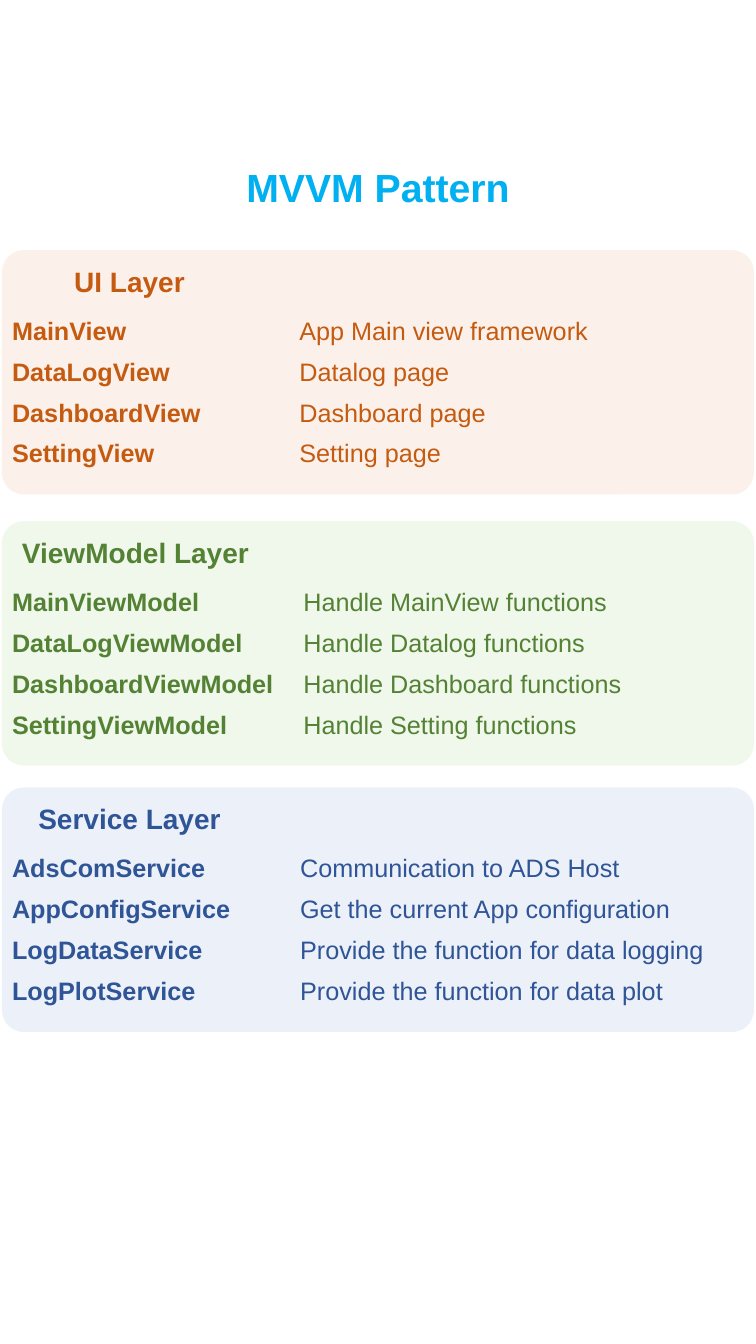
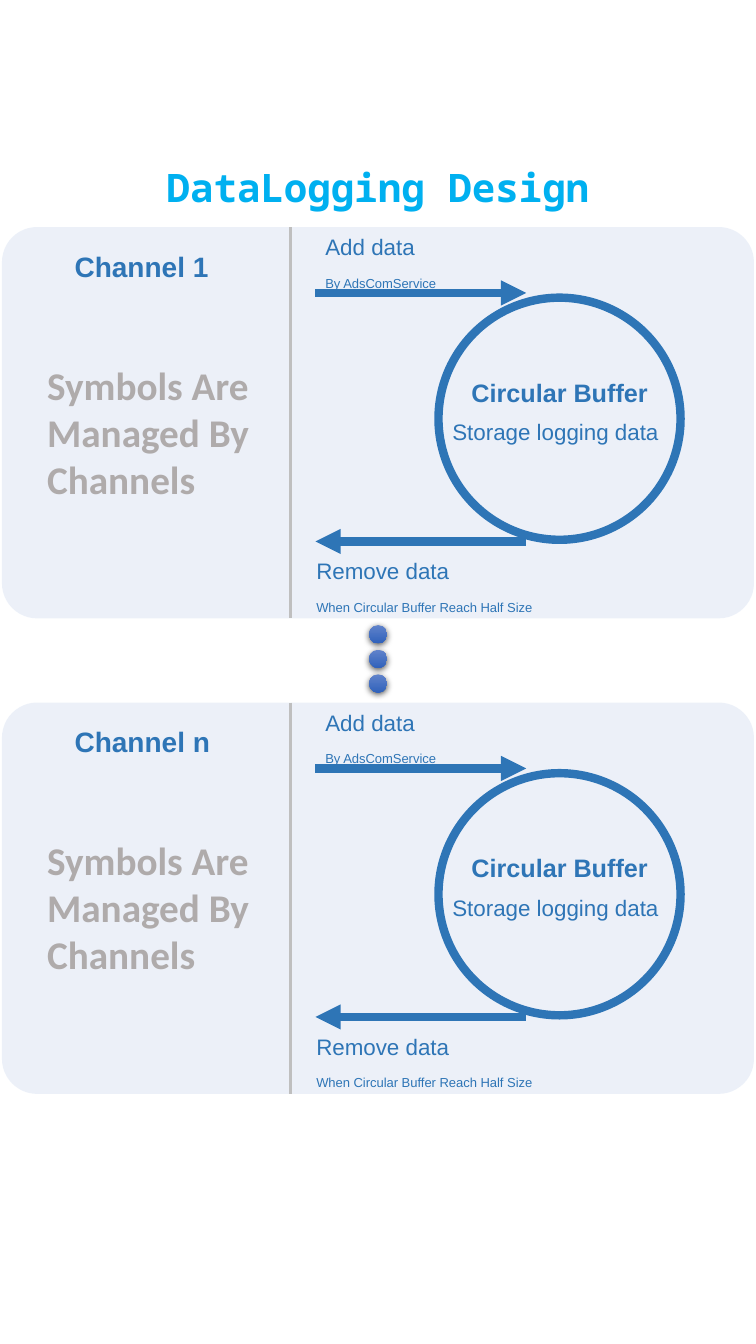
from lxml.etree import SubElement
from pptx import Presentation
from pptx.dml.color import RGBColor
from pptx.enum.shapes import MSO_CONNECTOR, MSO_SHAPE
from pptx.enum.text import MSO_ANCHOR, MSO_AUTO_SIZE, PP_ALIGN
from pptx.oxml.ns import qn
from pptx.util import Cm, Pt

ROUNDED = MSO_SHAPE.ROUNDED_RECTANGLE
OVAL = MSO_SHAPE.OVAL
STRAIGHT = MSO_CONNECTOR.STRAIGHT
LEFT, CENTER = PP_ALIGN.LEFT, PP_ALIGN.CENTER

SKY = RGBColor(0x00, 0xB0, 0xF0)
ORANGE = RGBColor(0xC5, 0x5A, 0x11)
ORANGE_TINT = RGBColor(0xFB, 0xE5, 0xD6)
GREEN = RGBColor(0x54, 0x82, 0x35)
GREEN_TINT = RGBColor(0xE2, 0xF0, 0xD9)
NAVY = RGBColor(0x2F, 0x55, 0x97)
BLUE = RGBColor(0x2E, 0x75, 0xB6)
BLUE_TINT = RGBColor(0xDA, 0xE3, 0xF3)
DIVIDER_GRAY = RGBColor(0xBF, 0xBF, 0xBF)
TEXT_GRAY = RGBColor(0xAF, 0xAB, 0xAB)
DOT_TOP = RGBColor(0x61, 0x83, 0xCB)
DOT_BOTTOM = RGBColor(0x30, 0x62, 0xBB)

PANEL_LEFT, PANEL_WIDTH = 0.05, 18.95
PLAIN_TABLE_STYLE = "{2D5ABB26-0587-4C30-8999-92F81FD0307C}"


def write_text(frame, text, size=18, color=BLUE, bold=False, font="Arial", align=LEFT, note=None):
    frame.word_wrap = True
    frame.text = text
    if note:
        frame.add_paragraph().text = note
    for para in frame.paragraphs:
        para.alignment = align
        span = para.runs[0]
        span.font.size = Pt(size)
        span.font.bold = bold
        span.font.name = font
        span.font.color.rgb = color
        if span.text == note:
            span._r.get_or_add_rPr().set("baseline", "-25000")


def add_panel(page, top, height, tint):
    panel = page.shapes.add_shape(ROUNDED, Cm(PANEL_LEFT), Cm(top), Cm(PANEL_WIDTH), Cm(height))
    panel.adjustments[0] = 0.09
    panel.shadow.inherit = False
    panel.line.fill.background()
    panel.fill.solid()
    panel.fill.fore_color.rgb = tint
    color = next(panel.element.spPr.iter(qn("a:srgbClr")))
    SubElement(color, qn("a:alpha")).set("val", "50000")


deck = Presentation()
deck.slide_width, deck.slide_height = Cm(19.05), Cm(33.86)

pages = []
for heading, font in [("MVVM Pattern", "Arial"), ("DataLogging Design", "Noto Sans Mono")]:
    page = deck.slides.add_slide(deck.slide_layouts[5])
    title = page.shapes.title
    title.left, title.top, title.width, title.height = Cm(PANEL_LEFT), Cm(3.99), Cm(PANEL_WIDTH), Cm(1.45)
    title.text_frame.auto_size = MSO_AUTO_SIZE.NONE
    title.text_frame.vertical_anchor = MSO_ANCHOR.MIDDLE
    write_text(title.text_frame, heading, size=28, color=SKY, bold=True, font=font, align=CENTER)
    pages.append(page)
pattern_page, logging_page = pages

layers = [
    ("UI Layer", 6.3, 6.43, 7.24, ORANGE, ORANGE_TINT, [
        ("MainView", "App Main view framework"),
        ("DataLogView", "Datalog page"),
        ("DashboardView", "Dashboard page"),
        ("SettingView", "Setting page")]),
    ("ViewModel Layer", 13.13, 6.73, 7.34, GREEN, GREEN_TINT, [
        ("MainViewModel", "Handle MainView functions"),
        ("DataLogViewModel", "Handle Datalog functions"),
        ("DashboardViewModel", "Handle Dashboard functions"),
        ("SettingViewModel", "Handle Setting functions")]),
    ("Service Layer", 19.84, 6.43, 7.26, NAVY, BLUE_TINT, [
        ("AdsComService", "Communication to ADS Host"),
        ("AppConfigService", "Get the current App configuration"),
        ("LogDataService", "Provide the function for data logging"),
        ("LogPlotService", "Provide the function for data plot")]),
]
for heading, top, heading_width, name_width, color, tint, rows in layers:
    add_panel(pattern_page, top, 6.16, tint)
    box = pattern_page.shapes.add_textbox(Cm(PANEL_LEFT), Cm(top + 0.23), Cm(heading_width), Cm(1.12))
    write_text(box.text_frame, heading, size=20, color=color, bold=True, align=CENTER)
    table = pattern_page.shapes.add_table(
        len(rows), 2, Cm(PANEL_LEFT), Cm(top + 1.57), Cm(PANEL_WIDTH), Cm(1.03 * len(rows))).table
    table.first_row = table.horz_banding = False
    table._tbl.tblPr.find(qn("a:tableStyleId")).text = PLAIN_TABLE_STYLE
    table.columns[0].width = Cm(name_width)
    table.columns[1].width = Cm(PANEL_WIDTH - name_width)
    for row, texts in enumerate(rows):
        for column, text in enumerate(texts):
            cell = table.cell(row, column)
            cell.fill.background()
            write_text(cell.text_frame, text, color=color, bold=column == 0)

CHANNEL_TOP, CHANNEL_PITCH, CHANNEL_HEIGHT = 5.72, 11.98, 9.86
ARROW_START, ARROW_END = 7.95, 13.26
DIVIDER_X = 7.32

connectors = [
    (ARROW_START, 1.66, ARROW_END, 1.66, BLUE, 6, "a:tailEnd"),
    (ARROW_START, 7.92, ARROW_END, 7.92, BLUE, 6, "a:headEnd"),
    (DIVIDER_X, 0, DIVIDER_X, CHANNEL_HEIGHT, DIVIDER_GRAY, 2.25, None),
]
buffer_labels = [
    ("Circular Buffer", 11.63, 3.66, 5, 1.02, {"bold": True}),
    ("Storage logging data", 11.15, 4.7, 5.89, 0.94, {"size": 16}),
]
channel_labels = [
    ("Add data", 7.95, 0.03, 5.89, 1.4, {"size": 16, "note": "By AdsComService"}),
    ("Remove data", 7.72, 8.2, 7.19, 1.4, {"size": 16, "note": "When Circular Buffer Reach Half Size"}),
    ("Symbols Are Managed By Channels", 0.94, 3.25, 6.05, 3.86,
     {"size": 28, "color": TEXT_GRAY, "bold": True, "font": "Calibri"}),
]
for index, channel in enumerate(["Channel 1", "Channel n"]):
    top = CHANNEL_TOP + index * CHANNEL_PITCH
    add_panel(logging_page, top, CHANNEL_HEIGHT, BLUE_TINT)

    ring = logging_page.shapes.add_shape(OVAL, Cm(11.05), Cm(top + 1.78), Cm(6.1), Cm(6.1))
    ring.shadow.inherit = False
    ring.fill.background()
    ring.line.color.rgb = BLUE
    ring.line.width = Pt(6)

    for x1, y1, x2, y2, color, width, arrow_end in connectors:
        line = logging_page.shapes.add_connector(STRAIGHT, Cm(x1), Cm(top + y1), Cm(x2), Cm(top + y2))
        line.line.color.rgb = color
        line.line.width = Pt(width)
        properties = line.element.spPr
        if arrow_end:
            SubElement(properties.find(qn("a:ln")), qn(arrow_end)).set("type", "triangle")
        SubElement(properties, qn("a:effectLst"))

    channel_name = (channel, 1.63, 0.43, 3.94, 1.12, {"size": 20, "bold": True})
    group = logging_page.shapes.add_group_shape()
    for shapes, labels in [(group.shapes, buffer_labels),
                           (logging_page.shapes, [channel_name] + channel_labels)]:
        for text, left, offset, width, height, style in labels:
            box = shapes.add_textbox(Cm(left), Cm(top + offset), Cm(width), Cm(height))
            write_text(box.text_frame, text, **style)

for index in range(3):
    dot = logging_page.shapes.add_shape(OVAL, Cm(9.3), Cm(15.75 + index * 0.62), Cm(0.46), Cm(0.46))
    dot.line.fill.background()
    dot.fill.gradient()
    dot.fill.gradient_angle = 270
    for stop, color in zip(dot.fill.gradient_stops, [DOT_TOP, DOT_BOTTOM]):
        stop.color.rgb = color
    dot.shadow.inherit = False
    effects = dot.element.spPr.find(qn("a:effectLst"))
    shadow = SubElement(effects, qn("a:outerShdw"), blurRad="57150", dist="19050", dir="5400000")
    shade = SubElement(shadow, qn("a:srgbClr"), val="000000")
    SubElement(shade, qn("a:alpha"), val="63000")

deck.save("out.pptx")
